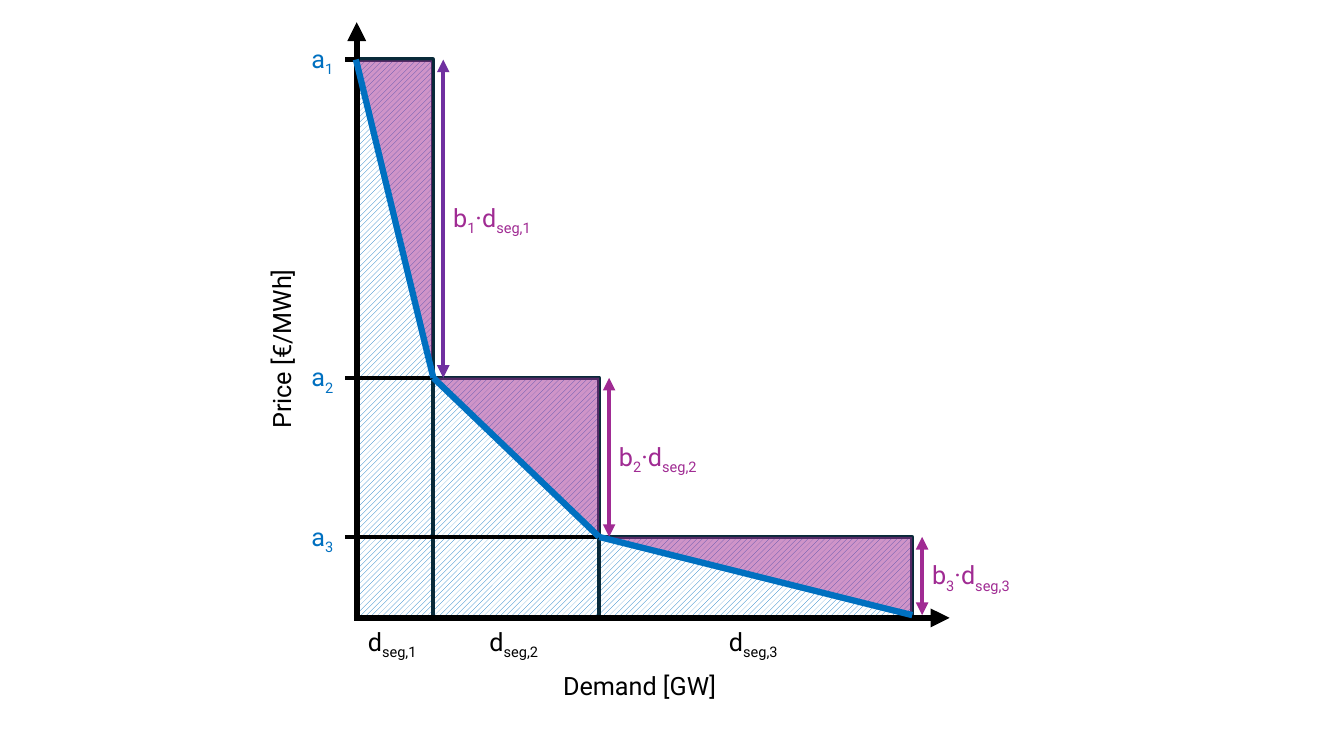
import pptx
import pptx.dml.color
import pptx.enum.dml
import pptx.enum.shapes
import pptx.enum.text
import pptx.oxml.ns
import pptx.util
from lxml import etree
from pptx.util import Cm

BLACK, BLUE, PURPLE, VIOLET, NAVY = "000000", "0070C0", "A02B93", "7030A0", "092A39"
SHAPES = pptx.enum.shapes.MSO_SHAPE

# Segment borders on the demand axis and price levels, in cm
BORDERS = [8.97, 10.92, 15.1, 22.99]
LEVELS = [1.5, 9.52, 13.53, 15.5]
AXIS_X, AXIS_Y = 8.99, 15.57
TICK_LEFT = 8.69
LABEL_HEIGHT = 1.02


def rgb(color):
    return pptx.dml.color.RGBColor.from_string(color)


def add_child(parent, tag, **attributes):
    child = etree.SubElement(parent, pptx.oxml.ns.qn(tag))
    for name, value in attributes.items():
        child.set(name, value)
    return child


def add_line(slide, start, end, color, width, head=False, tail=False):
    """Draw a straight line; head and tail put an arrowhead at start and end."""
    line = slide.shapes.add_connector(
        pptx.enum.shapes.MSO_CONNECTOR.STRAIGHT, *map(Cm, start + end))
    line.line.color.rgb = rgb(color)
    line.line.width = pptx.util.Pt(width)
    outline = line.line._get_or_add_ln()
    for tag, wanted in (("a:headEnd", head), ("a:tailEnd", tail)):
        if wanted:
            add_child(outline, tag, type="triangle")
    add_child(line._element.spPr, "a:effectLst")


def add_block(slide, kind, left, top, right, bottom, line_width):
    shape = slide.shapes.add_shape(
        kind, Cm(left), Cm(top), Cm(right - left), Cm(bottom - top))
    shape.shadow.inherit = False
    if line_width:
        shape.line.color.rgb = rgb(NAVY)
        shape.line.width = pptx.util.Pt(line_width)
    else:
        shape.line.fill.background()
    return shape


def add_hatched_bar(slide, left, top, right):
    bar = add_block(slide, SHAPES.RECTANGLE, left, top, right, AXIS_Y, 3)
    bar.fill.patterned()
    bar.fill.pattern = pptx.enum.dml.MSO_PATTERN.WIDE_UPWARD_DIAGONAL
    bar.fill.fore_color.rgb = rgb(BLUE)
    bar.fill.back_color.rgb = rgb("FFFFFF")


def add_surplus_triangle(slide, left, top, right, bottom, line_width):
    """Half-transparent triangle with its right angle at the top right."""
    triangle = add_block(slide, SHAPES.ISOSCELES_TRIANGLE,
                         left, top, right, bottom, line_width)
    triangle.adjustments[0] = 1
    triangle._element.spPr.xfrm.set("flipV", "1")
    triangle.fill.solid()
    triangle.fill.fore_color.rgb = rgb(PURPLE)
    color = triangle._element.spPr.find(".//" + pptx.oxml.ns.qn("a:srgbClr"))
    add_child(color, "a:alpha", val="50000")


def add_label(slide, parts, left, top, width, color, wrap=False, rotation=0):
    """Add text whose parts are alternately normal and subscript."""
    box = slide.shapes.add_textbox(Cm(left), Cm(top), Cm(width), Cm(LABEL_HEIGHT))
    box.rotation = rotation
    box.text_frame.word_wrap = wrap
    box.text_frame.auto_size = pptx.enum.text.MSO_AUTO_SIZE.SHAPE_TO_FIT_TEXT
    text_format = {"name": "Roboto", "size": pptx.util.Pt(18)}
    for index, part in enumerate(parts):
        run = box.text_frame.paragraphs[0].add_run()
        run.text = part
        for name, value in text_format.items():
            setattr(run.font, name, value)
        run.font.color.rgb = rgb(color)
        if index % 2:
            run._r.get_or_add_rPr().set("baseline", "-25000")


def main():
    presentation = pptx.Presentation()
    presentation.slide_width, presentation.slide_height = Cm(33.87), Cm(19.05)
    slide = presentation.slides.add_slide(presentation.slide_layouts[6])
    segments = list(zip(BORDERS, BORDERS[1:], LEVELS, LEVELS[1:]))

    for left, right, top, bottom in segments:
        add_hatched_bar(slide, left, top, right)
    for (left, right, top, bottom), line_width in zip(segments, (1.5, 0, 0)):
        add_surplus_triangle(slide, left, top, right, bottom, line_width)
    for (left, right, top, bottom), color in zip(segments, (VIOLET, PURPLE, PURPLE)):
        arrow_x = right + 0.25
        add_line(slide, (arrow_x, bottom), (arrow_x, top), color, 3, head=True, tail=True)

    add_line(slide, (8.92, AXIS_Y), (23.93, AXIS_Y), BLACK, 4.5, tail=True)
    add_line(slide, (AXIS_X, AXIS_Y), (AXIS_X, 0.56), BLACK, 4.5, tail=True)
    for left, right, top, bottom in segments:
        add_line(slide, (left, top), (TICK_LEFT, top), BLACK, 3)
    for left, right, top, bottom in segments:
        add_line(slide, (left, top), (right, bottom), BLUE, 4.5)

    for number, (left, right, top, bottom) in enumerate(segments, 1):
        index, segment = str(number), f"seg,{number}"
        add_label(slide, ["a", index], 7.6, top - 0.53, 1.09, BLUE)
        add_label(slide, ["d", segment], (left + right - 1.85) / 2, 15.65, 1.85, BLACK)
        add_label(slide, ["b", index, "·d", segment],
                  right + 0.25, (top + bottom - LABEL_HEIGHT) / 2 - 0.03, 2.64, PURPLE)

    add_label(slide, ["Demand [GW]"], 13.94, 16.76, 5.03, BLACK, wrap=True)
    add_label(slide, ["Price [€/MWh]"], 4.57, 8.03, 5.03, BLACK, wrap=True, rotation=270)
    presentation.save("out.pptx")


if __name__ == "__main__":
    main()
